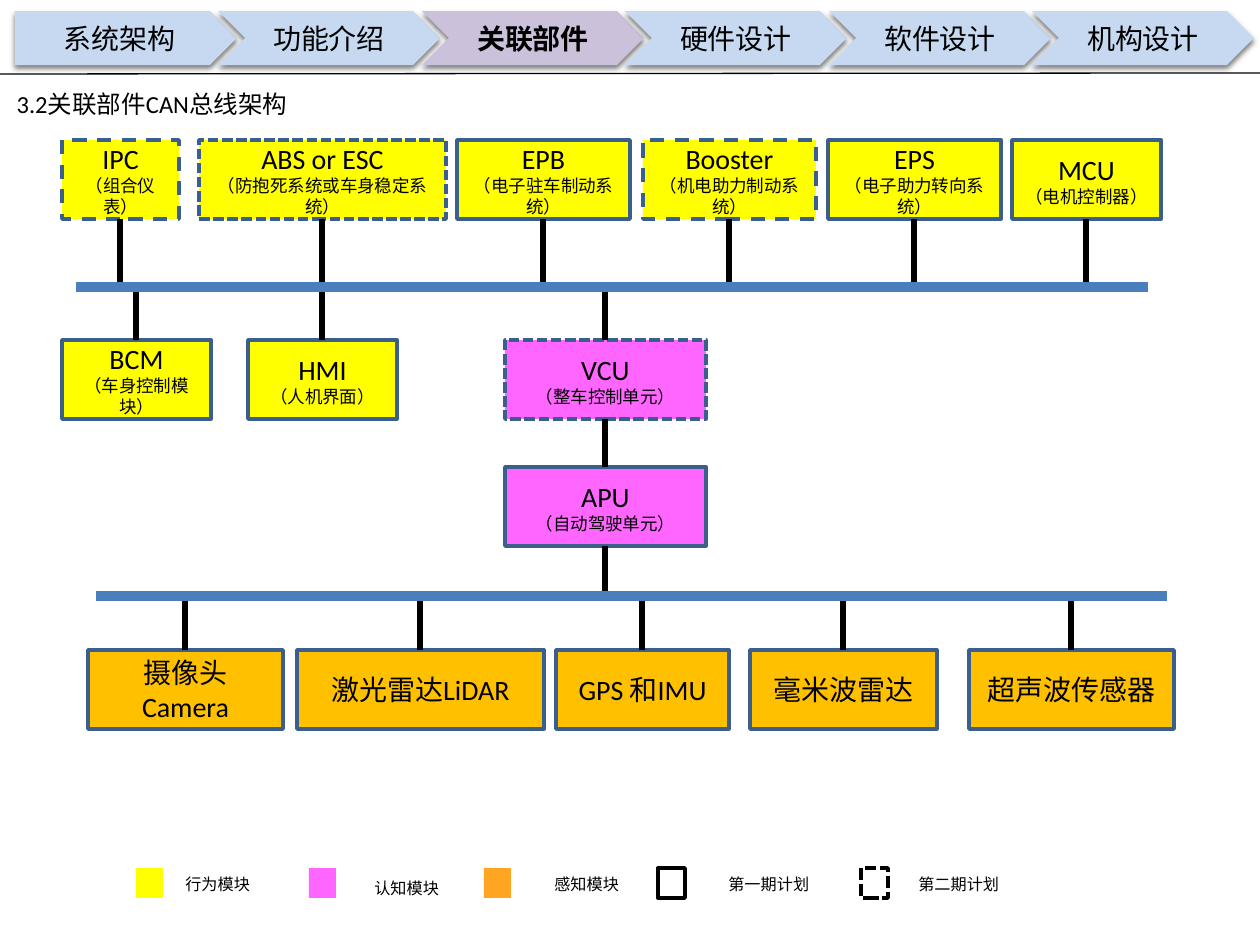
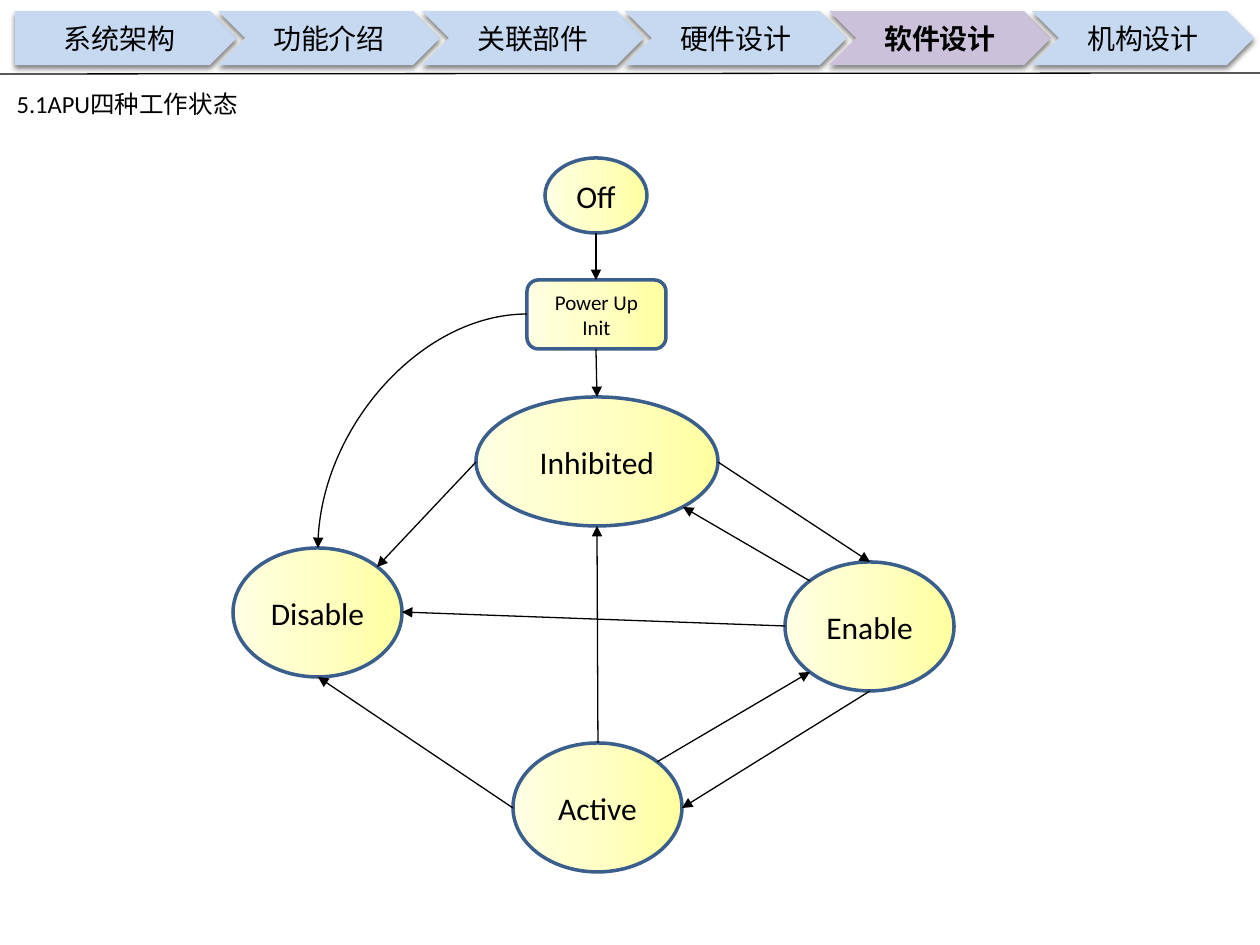
import copy
import pptx
import pptx.dml.color
import pptx.enum.dml
import pptx.enum.shapes
import pptx.enum.text
import pptx.oxml.ns
import pptx.util
from lxml import etree

PX = 914400 / 126
COLORS = {
    "text": "000000",
    "nav": "C6D9F1",
    "nav_current": "CCC1DA",
    "behavior": "FFFF00",
    "cognition": "FF66FF",
    "perception": "FFC000",
    "perception_key": "FFA521",
    "border": "3A5F8C",
    "bus": "4B7EBC",
}
STATE_GRADIENT = ["FFFFE3", "FFFFC5", "FFFFA0"]
LATIN, CHINESE = "Calibri", "Noto Sans CJK SC"
SECTIONS = ["系统架构", "功能介绍", "关联部件", "硬件设计", "软件设计", "机构设计"]
SHAPES = pptx.enum.shapes.MSO_SHAPE
LINKS = pptx.enum.shapes.MSO_CONNECTOR
ALIGN = pptx.enum.text.PP_ALIGN
ANCHOR = pptx.enum.text.MSO_ANCHOR
DASH = pptx.enum.dml.MSO_LINE.DASH
SHORT_DASH = pptx.enum.dml.MSO_LINE.SQUARE_DOT
MODULE_HEIGHT = 79
SITES = {
    "top": (0.5, 0), "bottom": (0.5, 1), "left": (0, 0.5), "right": (1, 0.5),
    "top left": (0.146, 0.146), "top right": (0.854, 0.146),
    "bottom left": (0.146, 0.854), "bottom right": (0.854, 0.854),
}


def px(*lengths):
    return [round(length * PX) for length in lengths]


def rgb(name):
    return pptx.dml.color.RGBColor.from_string(COLORS[name])


def qn(tag):
    return pptx.oxml.ns.qn(tag)


def write(box, lines, font=LATIN, bold=False, align=ALIGN.CENTER, anchor=ANCHOR.MIDDLE):
    frame = box.text_frame
    frame.word_wrap = True
    frame.vertical_anchor = anchor
    frame.text = "\n".join(text for text, size in lines)
    for para, (text, size) in zip(frame.paragraphs, lines):
        para.alignment = align
        for span in para.runs:
            span.font.size = pptx.util.Pt(size)
            span.font.bold = bold
            span.font.color.rgb = rgb("text")
            span.font.name = font
            etree.SubElement(span.font._element, qn("a:ea"), typeface=CHINESE)


def add_box(page, kind, bounds, fill=None, border=None, weight=2, dash=None):
    box = page.shapes.add_shape(kind, *px(*bounds))
    box.shadow.inherit = False
    if fill:
        box.fill.solid()
        box.fill.fore_color.rgb = rgb(fill)
    else:
        box.fill.background()
    if border:
        box.line.color.rgb = rgb(border)
        box.line.width = pptx.util.Pt(weight)
        if dash:
            box.line.dash_style = dash
    else:
        box.line.fill.background()
    return box


def add_line(page, start, end, weight=0.75, color="text", arrow=False, kind=LINKS.STRAIGHT):
    line = page.shapes.add_connector(kind, *px(*start, *end))
    line.line.color.rgb = rgb(color)
    line.line.width = pptx.util.Pt(weight)
    properties = line._element.spPr
    if arrow:
        etree.SubElement(properties.find(qn("a:ln")), qn("a:tailEnd"), type="triangle")
    etree.SubElement(properties, qn("a:effectLst"))
    return line


def add_nav_step(page, index, current):
    kind = SHAPES.CHEVRON if index else SHAPES.PENTAGON
    fill = "nav_current" if current else "nav"
    step = add_box(page, kind, (15 + 407 * index // 2, 11, 222, 54), fill)
    effects = step._element.spPr.find(qn("a:effectLst"))
    shadow = etree.SubElement(effects, qn("a:outerShdw"), blurRad="38100",
                              dist="25400", dir="5400000", rotWithShape="0")
    black = etree.SubElement(shadow, qn("a:srgbClr"), val=COLORS["text"])
    etree.SubElement(black, qn("a:alpha"), val="50000")
    frame = step.text_frame
    frame.margin_left, frame.margin_right, frame.margin_top, frame.margin_bottom = px(4, 4, 4, 4)
    write(step, [(SECTIONS[index], 16)], CHINESE, current)


def add_page(deck, title, section):
    page = deck.slides.add_slide(deck.slide_layouts[5])
    for index, name in enumerate(SECTIONS):
        add_nav_step(page, index, name == section)
    add_line(page, (0, 74), (1260, 73))
    heading = page.shapes.title
    heading.left, heading.top, heading.width, heading.height = px(4, 82, 359, 44)
    write(heading, [(title, 14)], align=ALIGN.LEFT)
    return page


def add_module(page, name, detail, left, top, width, fill, dash=None):
    box = add_box(page, SHAPES.RECTANGLE, (left, top, width, MODULE_HEIGHT), fill, "border", dash=dash)
    write(box, [(name, 16)] + ([(detail, 10)] if detail else []))


def add_stub(page, left, width, top, bottom):
    center = left + width // 2
    add_line(page, (center, top), (center, bottom), 3)


def add_legend_item(page, left, label_left, label, label_top=868, **style):
    add_box(page, SHAPES.RECTANGLE, (left, 868, 27, 30), **style)
    box = page.shapes.add_textbox(*px(label_left, label_top, 126, 30))
    write(box, [(label, 9.2)], align=ALIGN.LEFT, anchor=ANCHOR.TOP)


def add_state(page, name, bounds, kind=SHAPES.OVAL, size=18):
    state = add_box(page, kind, bounds, border="border")
    state.fill.gradient()
    state.fill.gradient_angle = 0
    stops = state._element.spPr.find(".//" + qn("a:gsLst"))
    stops.insert(1, copy.deepcopy(stops[0]))
    for index, stop in enumerate(state.fill.gradient_stops):
        stop.position = index / 2
        stop.color.rgb = pptx.dml.color.RGBColor.from_string(STATE_GRADIENT[index])
    write(state, [(name, size)])


def site_point(bounds, site):
    left, top, width, height = bounds
    across, down = SITES[site]
    return round(left + across * width), round(top + down * height)


def build_bus_page(deck):
    page = add_page(deck, "3.2关联部件CAN总线架构", "关联部件")
    vehicle_bus, sensor_bus = 287, 596
    actuator_top, body_top, apu_top, sensor_top = 140, 340, 467, 650
    actuators = [
        ("IPC", "（组合仪表）", 62, 117, DASH),
        ("ABS or ESC", "（防抱死系统或车身稳定系统）", 199, 247, SHORT_DASH),
        ("EPB", "（电子驻车制动系统）", 457, 173, None),
        ("Booster", "（机电助力制动系统）", 643, 173, DASH),
        ("EPS", "（电子助力转向系统）", 828, 173, None),
        ("MCU", "（电机控制器）", 1012, 149, None),
    ]
    for name, detail, left, width, dash in actuators:
        add_module(page, name, detail, left, actuator_top, width, "behavior", dash)
        add_stub(page, left, width, actuator_top + MODULE_HEIGHT, vehicle_bus)
    controllers = [
        ("BCM", "（车身控制模块）", 62, 149, "behavior", None),
        ("HMI", "（人机界面）", 248, 149, "behavior", None),
        ("VCU", "（整车控制单元）", 505, 201, "cognition", SHORT_DASH),
    ]
    for name, detail, left, width, fill, dash in controllers:
        add_module(page, name, detail, left, body_top, width, fill, dash)
        add_stub(page, left, width, vehicle_bus, body_top)
    add_module(page, "APU", "（自动驾驶单元）", 505, apu_top, 201, "cognition")
    add_stub(page, 505, 201, body_top + MODULE_HEIGHT, apu_top)
    add_stub(page, 505, 201, apu_top + MODULE_HEIGHT, sensor_bus)
    sensors = [
        ("摄像头Camera", 88, 195),
        ("激光雷达LiDAR", 297, 247),
        ("GPS 和IMU", 556, 173),
        ("毫米波雷达", 750, 187),
        ("超声波传感器", 969, 205),
    ]
    for name, left, width in sensors:
        add_module(page, name, None, left, sensor_top, width, "perception")
        add_stub(page, left, width, sensor_bus, sensor_top)
    add_line(page, (76, vehicle_bus), (1148, vehicle_bus), 6, "bus")
    add_line(page, (96, sensor_bus), (1167, sensor_bus), 6, "bus")
    add_legend_item(page, 136, 173, "行为模块", fill="behavior")
    add_legend_item(page, 309, 362, "认知模块", 872, fill="cognition")
    add_legend_item(page, 484, 542, "感知模块", fill="perception_key")
    add_legend_item(page, 658, 716, "第一期计划", border="text", weight=2.25)
    add_legend_item(page, 861, 906, "第二期计划", border="text", weight=2.25, dash=SHORT_DASH)


def build_state_page(deck):
    page = add_page(deck, "5.1APU四种工作状态", "软件设计")
    states = {
        "Off": (545, 158, 102, 75),
        "Disable": (233, 548, 169, 129),
        "Active": (513, 743, 169, 129),
        "Enable": (785, 562, 169, 129),
        "Inhibited": (476, 397, 242, 129),
    }
    for name, bounds in states.items():
        add_state(page, name, bounds)
    start_up = "Power Up Init"
    states[start_up] = (527, 280, 139, 69)
    add_state(page, start_up, states[start_up], SHAPES.ROUNDED_RECTANGLE, 12)
    transitions = [
        ("Off", "bottom", start_up, "top"),
        (start_up, "bottom", "Inhibited", "top"),
        ("Inhibited", "left", "Disable", "top right"),
        ("Inhibited", "right", "Enable", "top"),
        ("Enable", "top left", "Inhibited", "bottom right"),
        ("Enable", "left", "Disable", "right"),
        ("Active", "top right", "Enable", "bottom left"),
        ("Enable", "bottom", "Active", "right"),
        ("Active", "top", "Inhibited", "bottom"),
        ("Active", "left", "Disable", "bottom"),
    ]
    for source, leave, target, enter in transitions:
        add_line(page, site_point(states[source], leave), site_point(states[target], enter), arrow=True)
    curve = add_line(page, site_point(states[start_up], "left"), site_point(states["Disable"], "top"),
                     arrow=True, kind=LINKS.CURVE)
    curve._element.spPr.find(qn("a:prstGeom")).set("prst", "curvedConnector2")


def main():
    deck = pptx.Presentation()
    deck.slide_width, deck.slide_height = px(1260, 945)
    build_bus_page(deck)
    build_state_page(deck)
    deck.save("out.pptx")


if __name__ == "__main__":
    main()
